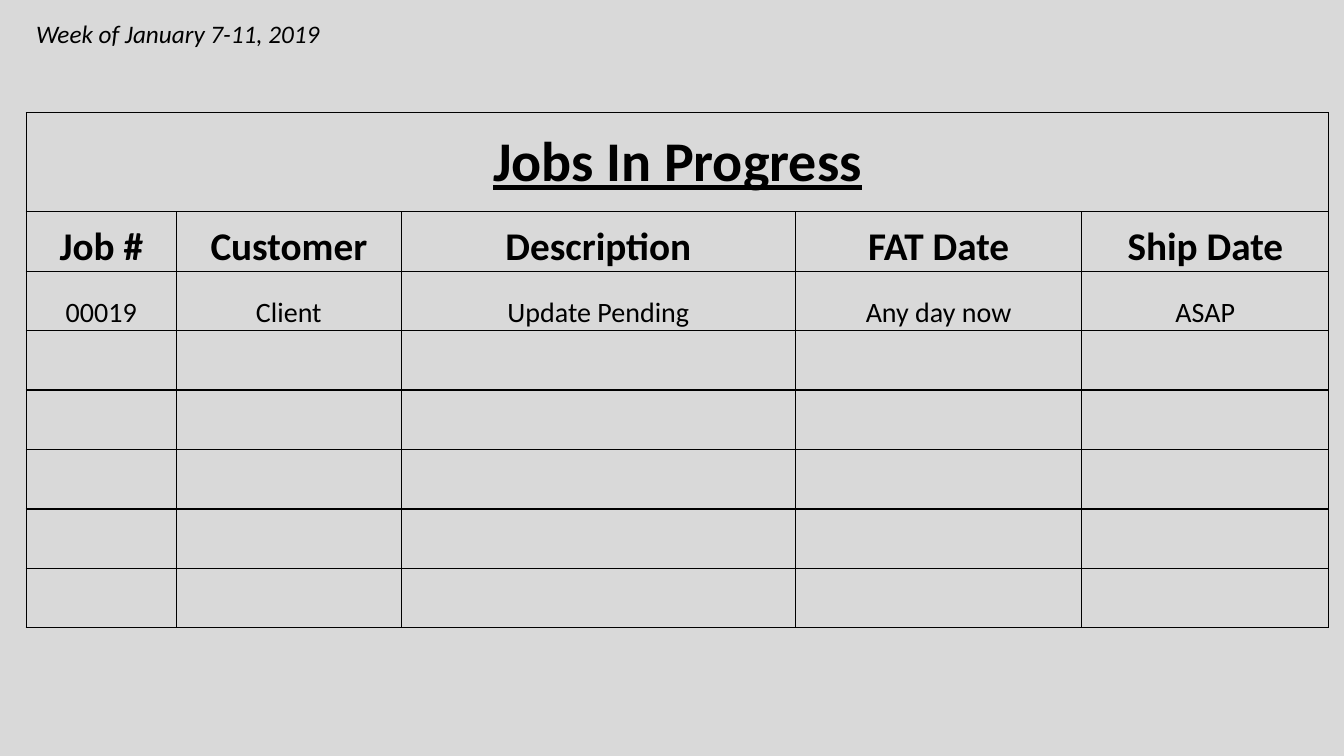
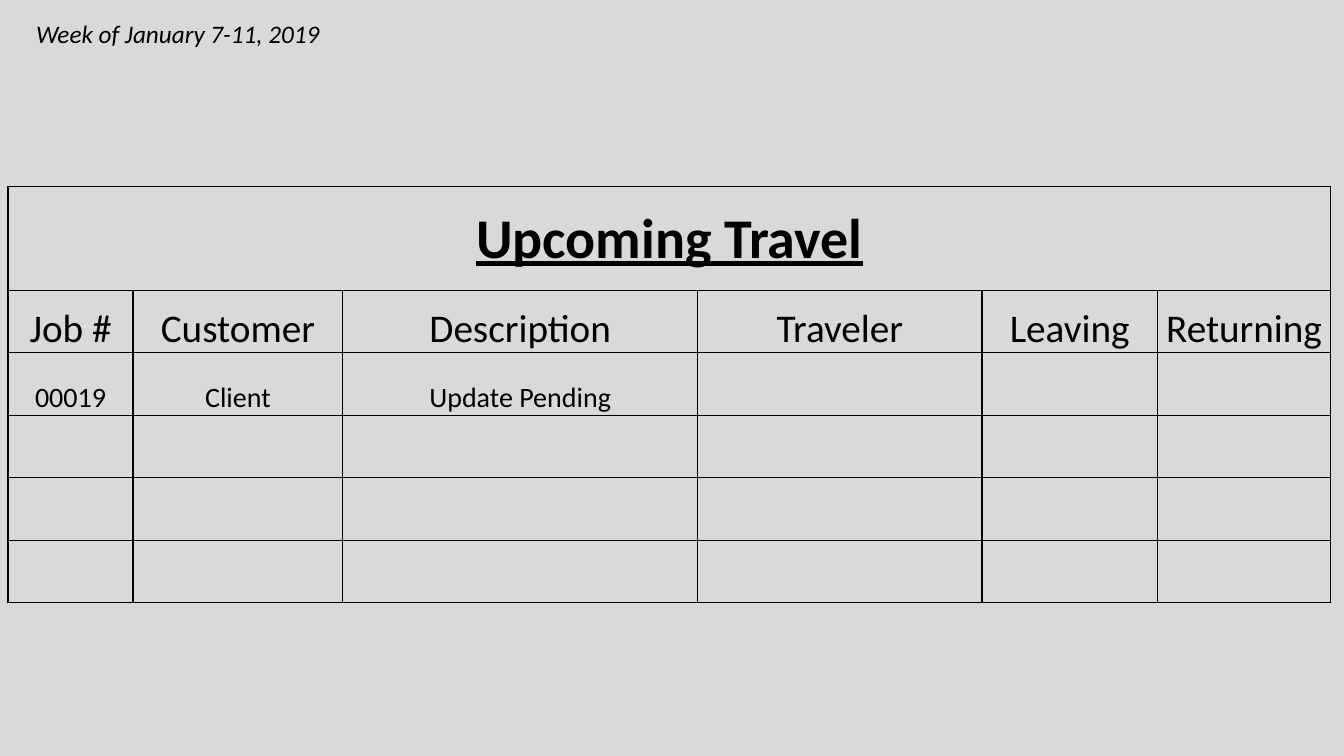
from lxml.etree import SubElement
from pptx import Presentation
from pptx.dml.color import RGBColor
from pptx.enum.text import MSO_ANCHOR, MSO_AUTO_SIZE, PP_ALIGN
from pptx.oxml.ns import qn
from pptx.util import Emu, Pt

EMU_PER_PX = 9144  # 100 px to the inch
SLIDE_WIDTH, SLIDE_HEIGHT = 1333, 750
BACKGROUND, INK = "D9D9D9", "000000"
FONT = "Calibri"
WEEK = "Week of January 7-11, 2019"
WEEK_BOX = (26, 13, 430, 40)
PENDING_JOB = ["00019", "Client", "Update Pending"]

WEEK_STYLE = {"size": Pt(18), "italic": True}
TITLE_STYLE = {"size": Pt(40), "bold": True, "underline": True}
HEADER_STYLE = {"size": Pt(28), "bold": False}
BOLD_HEADER_STYLE = {**HEADER_STYLE, "bold": True}
BODY_STYLE = {"size": Pt(20), "bold": False}
CELL_MARGINS = {"margin_left": 1, "margin_top": 1, "margin_right": 1, "margin_bottom": 0}


def px(length):
    return Emu(length * EMU_PER_PX)


def color(hex_value):
    return RGBColor.from_string(hex_value)


def write(text_frame, text, style):
    """Put one styled run into the first paragraph and return the paragraph."""
    paragraph = text_frame.paragraphs[0]
    run = paragraph.add_run()
    run.text = text
    run.font.color.rgb = color(INK)
    for name, value in {"name": FONT, **style}.items():
        setattr(run.font, name, value)
    return paragraph


def add_borders(cell):
    properties = cell._tc.get_or_add_tcPr()
    for side in ("lnL", "lnR", "lnT", "lnB"):
        line = SubElement(properties, qn(f"a:{side}"), w=str(Pt(1)))
        fill = SubElement(line, qn("a:solidFill"))
        SubElement(fill, qn("a:srgbClr"), val=INK)


def write_cell(cell, text, style, anchor=MSO_ANCHOR.BOTTOM):
    cell.vertical_anchor = anchor
    for name, value in CELL_MARGINS.items():
        setattr(cell, name, px(value))
    write(cell.text_frame, text, style).alignment = PP_ALIGN.CENTER


def add_schedule(slide, left, top, column_widths, title_height, row_height,
                 row_count, title, header, jobs, header_style):
    """Add a table with a title row, a header row, job rows and blank rows."""
    row_heights = [title_height] + [row_height] * (row_count - 1)
    table = slide.shapes.add_table(
        row_count, len(column_widths), px(left), px(top),
        px(sum(column_widths)), px(sum(row_heights))).table
    table.first_row = table.horz_banding = False
    for column, width in zip(table.columns, column_widths):
        column.width = px(width)
    for row, height in zip(table.rows, row_heights):
        row.height = px(height)
    for cell in table.iter_cells():
        add_borders(cell)
        cell.fill.background()

    table.cell(0, 0).merge(table.cell(0, len(column_widths) - 1))
    write_cell(table.cell(0, 0), title, TITLE_STYLE, MSO_ANCHOR.MIDDLE)
    for row_index, texts in enumerate([header, *jobs], start=1):
        style = header_style if row_index == 1 else BODY_STYLE
        for column_index, text in enumerate(texts):
            write_cell(table.cell(row_index, column_index), text, style)


def add_week(slide, box):
    text_frame = slide.shapes.add_textbox(*map(px, box)).text_frame
    text_frame.word_wrap = True
    text_frame.auto_size = MSO_AUTO_SIZE.SHAPE_TO_FIT_TEXT
    write(text_frame, WEEK, WEEK_STYLE)


def add_schedule_slide(presentation, **schedule):
    slide = presentation.slides.add_slide(presentation.slide_layouts[6])
    background = slide.background.fill
    background.solid()
    background.fore_color.rgb = color(BACKGROUND)
    add_schedule(slide, **schedule)
    add_week(slide, WEEK_BOX)


def main():
    presentation = Presentation()
    presentation.slide_width = px(SLIDE_WIDTH)
    presentation.slide_height = px(SLIDE_HEIGHT)
    add_schedule_slide(
        presentation, left=26, top=112,
        column_widths=[149, 223, 391, 284, 245],
        title_height=98, row_height=59, row_count=8,
        title="Jobs In Progress",
        header=["Job #", "Customer", "Description", "FAT Date", "Ship Date"],
        jobs=[[*PENDING_JOB, "Any day now", "ASAP"]],
        header_style=BOLD_HEADER_STYLE)
    add_schedule_slide(
        presentation, left=8, top=185,
        column_widths=[124, 208, 352, 282, 174, 172],
        title_height=103, row_height=62, row_count=6,
        title="Upcoming Travel",
        header=["Job #", "Customer", "Description", "Traveler", "Leaving", "Returning"],
        jobs=[PENDING_JOB],
        header_style=HEADER_STYLE)
    presentation.save("out.pptx")


if __name__ == "__main__":
    main()
